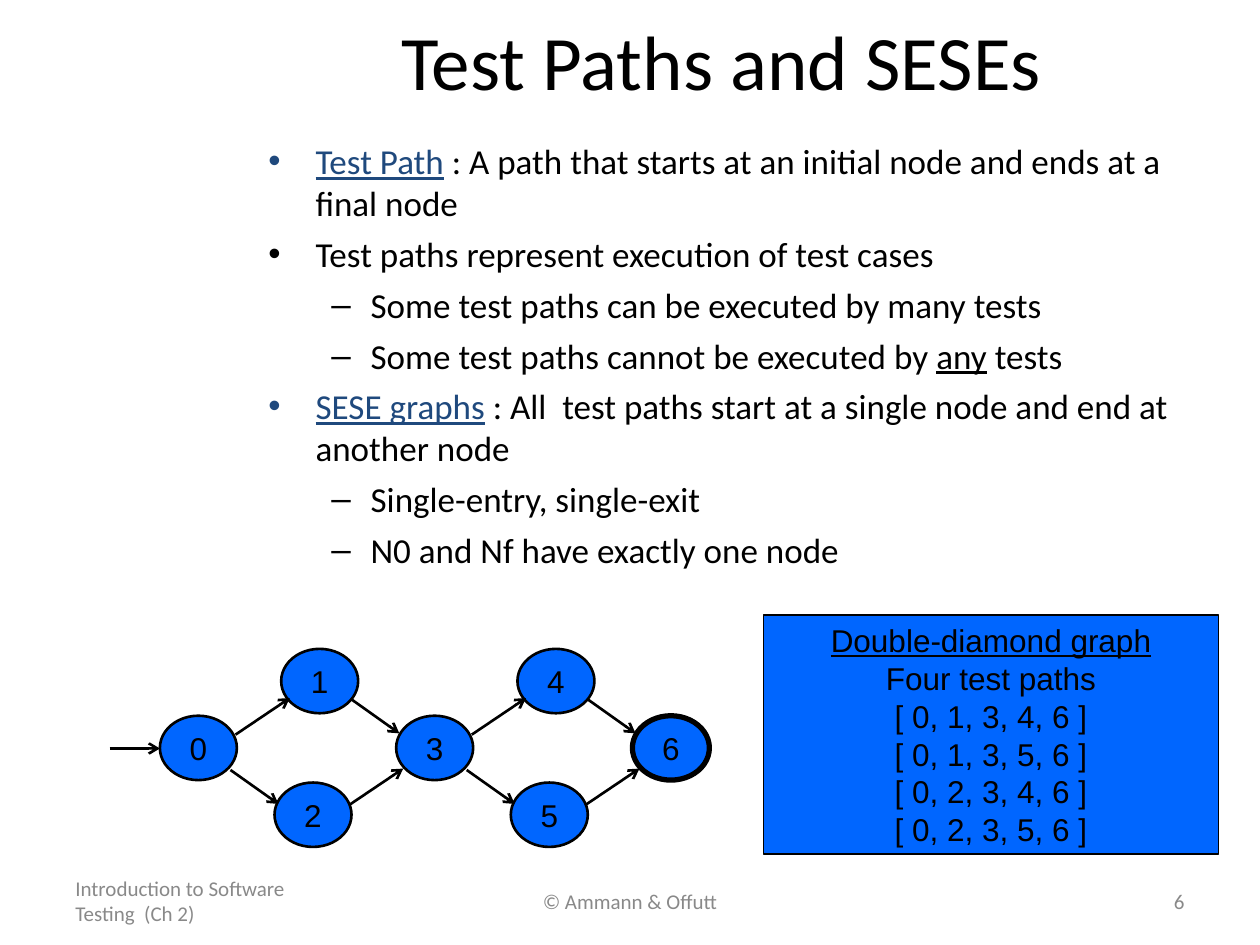
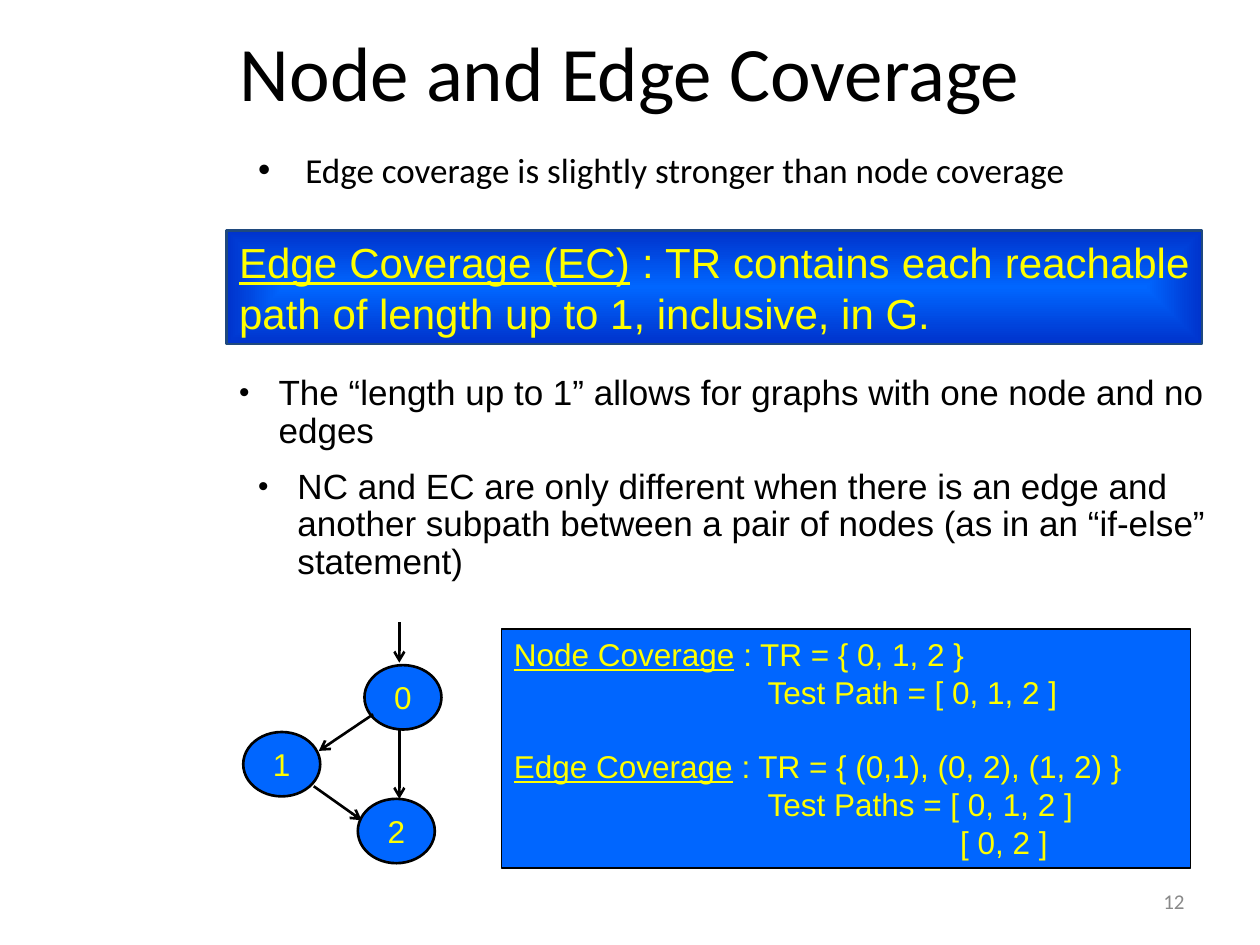
from lxml import etree
from pptx import Presentation
from pptx import util as u
from pptx.dml.color import RGBColor
from pptx.enum import shapes, text
from pptx.oxml import parse_xml
from pptx.oxml.ns import nsdecls, qn

Pt = u.Pt
COLORS = {
    "ink": "000000", "accent": "1F497D", "footer": "898989",
    "blue": "0066FF", "deep": "0033CC", "yellow": "FFFF00",
}
LEFT, CENTER = text.PP_ALIGN.LEFT, text.PP_ALIGN.CENTER
RIGHT, JUSTIFY = text.PP_ALIGN.RIGHT, text.PP_ALIGN.JUSTIFY
TOP, MIDDLE = text.MSO_ANCHOR.TOP, text.MSO_ANCHOR.MIDDLE

# Bullet styles: character, left margin, hanging indent, size in percent
DOT = ("•", 27, 27, 100)
DASH = ("–", 58.5, 22.5, 100)
SMALL_DOT = ("•", 22.5, 22.5, 85)

# One diamond, measured from the top left corner of its left node
NODE_W, NODE_H = 44, 36.8
DIAMOND_PITCH = 135
TOP_NODE, BOTTOM_NODE = (69.3, -38.2), (65.5, 38.2)
LEFT_TOP = (43.2, 10.8, 74.2, -10.1)
LEFT_BOTTOM = (40.3, 31, 67.7, 50.4)
TOP_RIGHT = (109.4, -9.4, 136.8, 10.1)
BOTTOM_RIGHT = (108, 51.1, 139, 30.2)


def rgb(name):
    return RGBColor.from_string(COLORS[name])


def add_bullet(p, style, color):
    char, margin, hang, size = style
    pPr = p._p.get_or_add_pPr()
    pPr.set("marL", str(Pt(margin)))
    pPr.set("indent", str(-Pt(hang)))
    clr = etree.SubElement(pPr, qn("a:buClr"))
    etree.SubElement(clr, qn("a:srgbClr"), val=COLORS[color])
    etree.SubElement(pPr, qn("a:buSzPct"), val=str(size * 1000))
    etree.SubElement(pPr, qn("a:buFont"), typeface="Arial")
    etree.SubElement(pPr, qn("a:buChar"), char=char)


def add_paragraph(tf, words, first=False, font="Arial", size=18, color="ink",
                  mark="", align=LEFT, bullet=None, before=0, spacing=None,
                  margin=0):
    """Underline the parts of words between underscores, in colour mark."""
    p = tf.paragraphs[0] if first else tf.add_paragraph()
    p.alignment = align
    if bullet:
        led = mark and words.startswith("_")
        add_bullet(p, bullet, mark if led else color)
    elif margin:
        p._p.get_or_add_pPr().set("marL", str(Pt(margin)))
    if before and not first:
        p.space_before = Pt(before)
    if spacing:
        p.line_spacing = spacing
    for i, part in enumerate(words.split("_")):
        if part:
            r = p.add_run()
            r.text = part
            r.font.name, r.font.size = font, Pt(size)
            r.font.underline = i % 2 == 1
            r.font.color.rgb = rgb(mark if mark and i % 2 else color)


def fill_text(sp, lines, anchor=TOP, insets=(7.2, 3.6), **fmt):
    """Each line is a string, or a string and its own format."""
    tf = sp.text_frame
    tf.word_wrap = True
    tf.vertical_anchor = anchor
    tf.margin_left = tf.margin_right = Pt(insets[0])
    tf.margin_top = tf.margin_bottom = Pt(insets[1])
    for i, line in enumerate(lines):
        words, own = (line, {}) if isinstance(line, str) else line
        add_paragraph(tf, words, first=i == 0, **{**fmt, **own})


def add_text(s, box, lines, **fmt):
    sp = s.shapes.add_textbox(*map(Pt, box))
    fill_text(sp, lines, **fmt)


def add_title(s, box, words):
    add_text(s, box, [words], anchor=MIDDLE, align=CENTER, font="Calibri", size=44)


def add_footer(s, x, w, words, align):
    add_text(s, (x, 500.4, w, 28.8), [words], anchor=MIDDLE, align=align,
             font="Calibri", size=12, color="footer")


def add_page_number(s, number):
    add_footer(s, 516, 168, str(number), RIGHT)


def add_filled(s, kind, box, line="ink", width=1):
    sp = s.shapes.add_shape(kind, *map(Pt, box))
    sp.shadow.inherit = False
    sp.fill.solid()
    sp.fill.fore_color.rgb = rgb("blue")
    sp.line.color.rgb = rgb(line)
    sp.line.width = Pt(width)
    return sp


def add_panel(s, box, lines, line="ink", width=1, **fmt):
    sp = add_filled(s, shapes.MSO_SHAPE.RECTANGLE, box, line, width)
    fill_text(sp, lines, **fmt)
    return sp


def set_center_gradient(sp, inner, outer):
    solid = sp._element.spPr.find(qn("a:solidFill"))
    stops = "".join(
        f'<a:gs pos="{pos}"><a:srgbClr val="{COLORS[c]}"/></a:gs>'
        for pos, c in ((0, inner), (100000, outer)))
    grad = parse_xml(
        f'<a:gradFill {nsdecls("a")} rotWithShape="1"><a:gsLst>{stops}</a:gsLst>'
        '<a:path path="rect"><a:fillToRect l="50000" t="50000" r="50000" b="50000"/>'
        '</a:path></a:gradFill>')
    solid.getparent().replace(solid, grad)


def add_node(s, x, y, label, width=1.5, color="ink"):
    sp = add_filled(s, shapes.MSO_SHAPE.OVAL, (x, y, NODE_W, NODE_H), width=width)
    fill_text(sp, [label], anchor=MIDDLE, insets=(0, 0), align=CENTER, color=color)


def add_arrow(s, x1, y1, x2, y2):
    c = s.shapes.add_connector(shapes.MSO_CONNECTOR.STRAIGHT,
                               *map(Pt, (x1, y1, x2, y2)))
    c.line.color.rgb = rgb("ink")
    c.line.width = Pt(1.5)
    etree.SubElement(c.line._get_or_add_ln(), qn("a:tailEnd"), type="arrow")
    etree.SubElement(c._element.spPr, qn("a:effectLst"))


def add_edge(s, x, y, edge, reverse=False):
    x1, y1, x2, y2 = edge[2:] + edge[:2] if reverse else edge
    add_arrow(s, x + x1, y + y1, x + x2, y + y2)


def add_fork(s, x, y, labels, **fmt):
    """Left, top and bottom node of a diamond."""
    for (dx, dy), label in zip(((0, 0), TOP_NODE, BOTTOM_NODE), labels):
        add_node(s, x + dx, y + dy, label, **fmt)


def build_test_paths(s):
    add_footer(s, 36, 168, "Introduction to Software Testing  (Ch 2)", LEFT)
    add_footer(s, 246, 228, "© Ammann & Offutt", CENTER)
    add_page_number(s, 6)
    add_title(s, (140.4, 0, 543.6, 68.4), "Test Paths and SESEs")
    dash = {"bullet": DASH}
    add_text(s, (146.2, 76.3, 563, 260.6), [
        "_Test Path_ : A path that starts at an initial node and ends at a final node",
        "Test paths represent execution of test cases",
        ("Some test paths can be executed by many tests", dash),
        ("Some test paths cannot be executed by _any_ tests", {**dash, "mark": ""}),
        "_SESE graphs_ : All  test paths start at a single node and end at another node",
        ("Single-entry, single-exit", dash),
        ("N0 and Nf have exactly one node", dash),
    ], font="Calibri", size=20, mark="accent", bullet=DOT, before=5)

    # Double-diamond graph
    x, y = 91.4, 409
    for i, labels in enumerate(("012", "345")):
        left = x + i * DIAMOND_PITCH
        add_fork(s, left, y, labels)
    add_node(s, x + 2 * DIAMOND_PITCH, y, "6", width=3)
    add_arrow(s, 62.6, 427.7, x, 427.7)
    for i in range(2):
        for edge in (LEFT_TOP, LEFT_BOTTOM, TOP_RIGHT, BOTTOM_RIGHT):
            add_edge(s, x + i * DIAMOND_PITCH, y, edge)

    test_paths = [f"[ 0, {a}, 3, {b}, 6 ]" for a in (1, 2) for b in (4, 5)]
    add_panel(s, (436.3, 351.4, 260, 136.8),
              ["_Double-diamond graph_", "Four test paths"] + test_paths,
              align=CENTER)


def build_coverage(s):
    add_page_number(s, 12)
    add_title(s, (54, 8, 612, 64.8), "Node and Edge Coverage")
    add_text(s, (140.4, 81.4, 568.8, 37.4),
             ["Edge coverage is slightly stronger than node coverage"],
             font="Calibri", size=20, bullet=DOT)

    # Definition band
    band = add_panel(s, (129.6, 131.8, 557.3, 64.8), [
        "_Edge Coverage (EC)_ : TR contains each reachable path of length up to 1, "
        "inclusive, in G."], line="accent", width=1.5, size=24, color="yellow",
        align=JUSTIFY)
    set_center_gradient(band, "blue", "deep")

    # Remarks
    for box, words in (
        ((129.6, 211, 579.6, 59.8),
         "The “length up to 1” allows for graphs with one node and no edges"),
        ((140.4, 264.4, 569.5, 73.4),
         "NC and EC are only different when there is an edge and another subpath "
         "between a pair of nodes (as in an “if-else” statement)"),
    ):
        add_text(s, box, [words], size=20, bullet=SMALL_DOT, spacing=0.9)

    # Requirements and test paths
    add_panel(s, (286.6, 359.3, 393.8, 136.8), [
        "_Node Coverage_ : TR = { 0, 1, 2 }",
        ("Test Path = [ 0, 1, 2 ]", {"margin": 145}),
        ("_Edge Coverage_ : TR = { (0,1), (0, 2), (1, 2) }", {"before": 21}),
        ("Test Paths = [ 0, 1, 2 ]", {"margin": 145}),
        ("[ 0, 2 ]", {"margin": 255}),
    ], color="yellow")

    # Three-node graph
    x, y = 139, 418.3
    add_fork(s, x, y, "102", color="yellow")
    add_edge(s, x, y, LEFT_TOP, reverse=True)
    add_edge(s, x, y, LEFT_BOTTOM)
    for y1, y2 in ((416.9, 456.5), (355.7, 378.7)):
        add_arrow(s, 228.2, y1, 228.2, y2)


def main():
    prs = Presentation()
    prs.slide_width, prs.slide_height = Pt(720), Pt(540)
    for build in (build_test_paths, build_coverage):
        build(prs.slides.add_slide(prs.slide_layouts[6]))
    prs.save("out.pptx")


if __name__ == "__main__":
    main()
